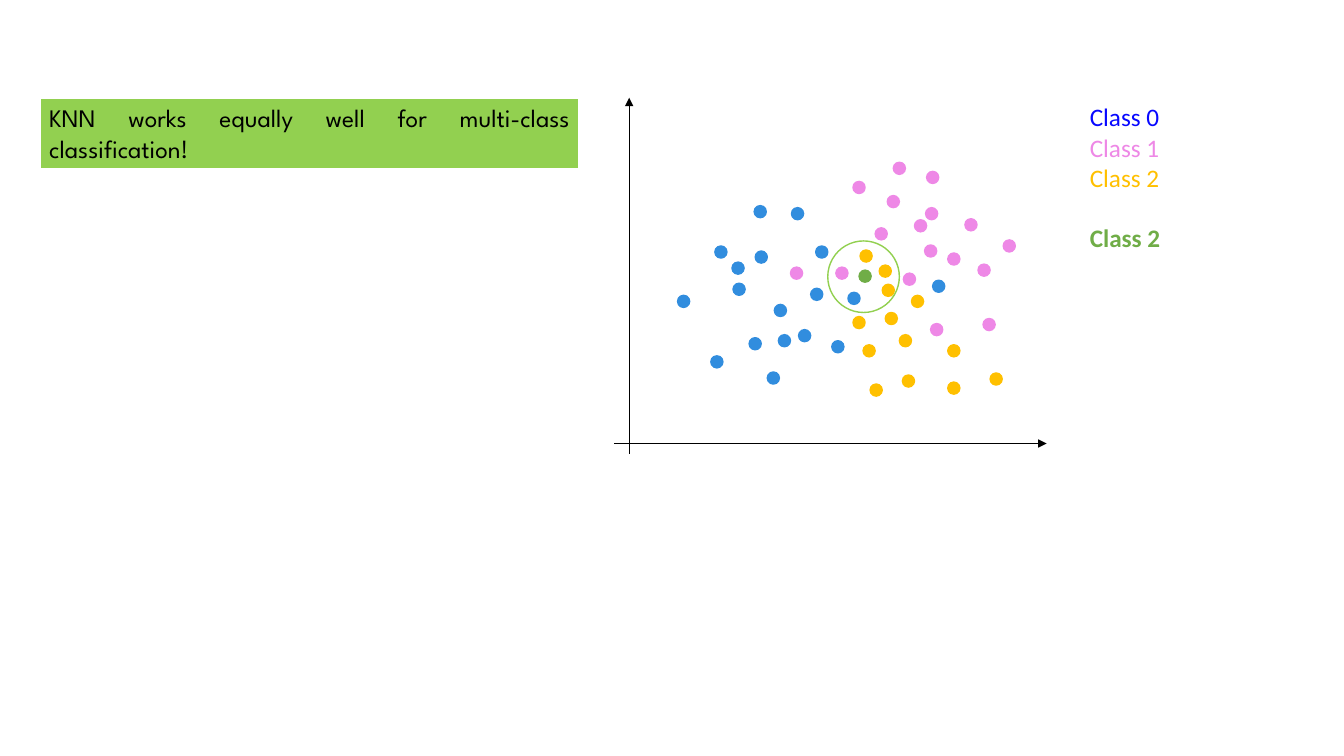
from lxml import etree
from pptx import Presentation
from pptx.dml.color import RGBColor
from pptx.enum import shapes, text
from pptx.oxml.ns import qn
from pptx.util import Inches, Pt

BLUE, PINK, GOLD, GREEN, LIME = "318DDE", "EE88E6", "FFC000", "70AD47", "92D050"
DOT = 0.12

# Left and top of each dot, in inches
BLUES = [
    (7.49, 2.49), (7.85, 2.06), (7.27, 2.81), (7.05, 3.53), (8.41, 2.9), (7.72, 3.32),
    (8.09, 2.44), (7.61, 3.69), (7.09, 2.44), (7.26, 2.6), (7.48, 2.04), (8.04, 2.86),
    (8.25, 3.38), (6.72, 2.93), (7.43, 3.35), (7.68, 3.02), (7.92, 3.27), (9.25, 2.78),
]
PINKS = [
    (7.84, 2.65), (8.29, 2.65), (8.46, 1.8), (8.68, 2.26), (8.96, 2.71), (8.8, 1.94),
    (9.75, 3.16), (9.17, 2.43), (8.86, 1.61), (9.18, 2.06), (9.19, 1.7), (9.57, 2.17),
    (9.7, 2.62), (9.95, 2.38), (9.07, 2.18), (9.23, 3.21), (9.4, 2.51),
]
GOLDS = [
    (8.46, 3.14), (8.72, 2.63), (8.75, 2.82), (8.53, 2.48), (9.04, 2.93), (8.78, 3.1),
    (8.92, 3.32), (8.56, 3.42), (9.82, 3.7), (9.4, 3.79), (8.95, 3.72), (9.4, 3.42),
    (8.63, 3.81),
]
QUERY = [(8.52, 2.68)]


def color(code):
    return RGBColor.from_string(code)


def add_shape(slide, kind, box, fill, line, width):
    shape = slide.shapes.add_shape(kind, *map(Inches, box))
    shape.shadow.inherit = False
    if fill:
        shape.fill.solid()
        shape.fill.fore_color.rgb = color(fill)
    else:
        shape.fill.background()
    shape.line.color.rgb = color(line)
    shape.line.width = Pt(width)
    return shape


def add_dots(slide, points, code):
    for left, top in points:
        add_shape(slide, shapes.MSO_SHAPE.OVAL, (left, top, DOT, DOT), code, code, 1)


def add_axis(slide, *ends):
    axis = slide.shapes.add_connector(shapes.MSO_CONNECTOR.STRAIGHT, *map(Inches, ends))
    axis.line.color.rgb = color("000000")
    axis.line.width = Pt(0.5)
    etree.SubElement(axis.line._get_or_add_ln(), qn("a:tailEnd"), type="triangle")
    etree.SubElement(axis._element.spPr, qn("a:effectLst"))


def style(par, font, code, bold=False):
    for run in par.runs:
        run.font.name = font
        run.font.size = Pt(18)
        run.font.bold = bold
        run.font.color.rgb = color(code)


def add_banner(slide, words):
    box = (0.39, 0.97, 5.36, 0.71)
    frame = add_shape(slide, shapes.MSO_SHAPE.RECTANGLE, box, LIME, "FFFFFF", 2.25).text_frame
    frame.word_wrap = True
    frame.vertical_anchor = text.MSO_ANCHOR.TOP
    frame.text = words
    par = frame.paragraphs[0]
    par.alignment = text.PP_ALIGN.JUSTIFY
    style(par, "League Spartan", "000000")


def add_legend(slide):
    box = slide.shapes.add_textbox(*map(Inches, (10.71, 0.96, 0.91, 1.62)))
    frame = box.text_frame
    frame.word_wrap = False
    frame.text = "Class 0\nClass 1\nClass 2\nClass 2"
    for par, code in zip(frame.paragraphs, ("0808FF", PINK, GOLD, GREEN)):
        style(par, "Calibri", code, code == GREEN)
    # The predicted class stands one line apart
    frame.paragraphs[-1].space_before = Pt(21.6)


def main():
    deck = Presentation()
    deck.slide_width, deck.slide_height = Inches(13.33), Inches(7.5)
    slide = deck.slides.add_slide(deck.slide_layouts[6])

    # Axes
    add_axis(slide, 6.24, 4.5, 6.24, 0.97)
    add_axis(slide, 6.09, 4.4, 10.38, 4.4)

    # Classes and the point to classify
    for points, code in ((BLUES, BLUE), (PINKS, PINK), (QUERY, GREEN), (GOLDS, GOLD)):
        add_dots(slide, points, code)

    # Neighbourhood
    add_shape(slide, shapes.MSO_SHAPE.OVAL, (8.21, 2.39, 0.71, 0.71), None, LIME, 1)

    # Texts
    add_banner(slide, "KNN works equally well for multi-class classification!")
    add_legend(slide)

    deck.save("out.pptx")


if __name__ == "__main__":
    main()
